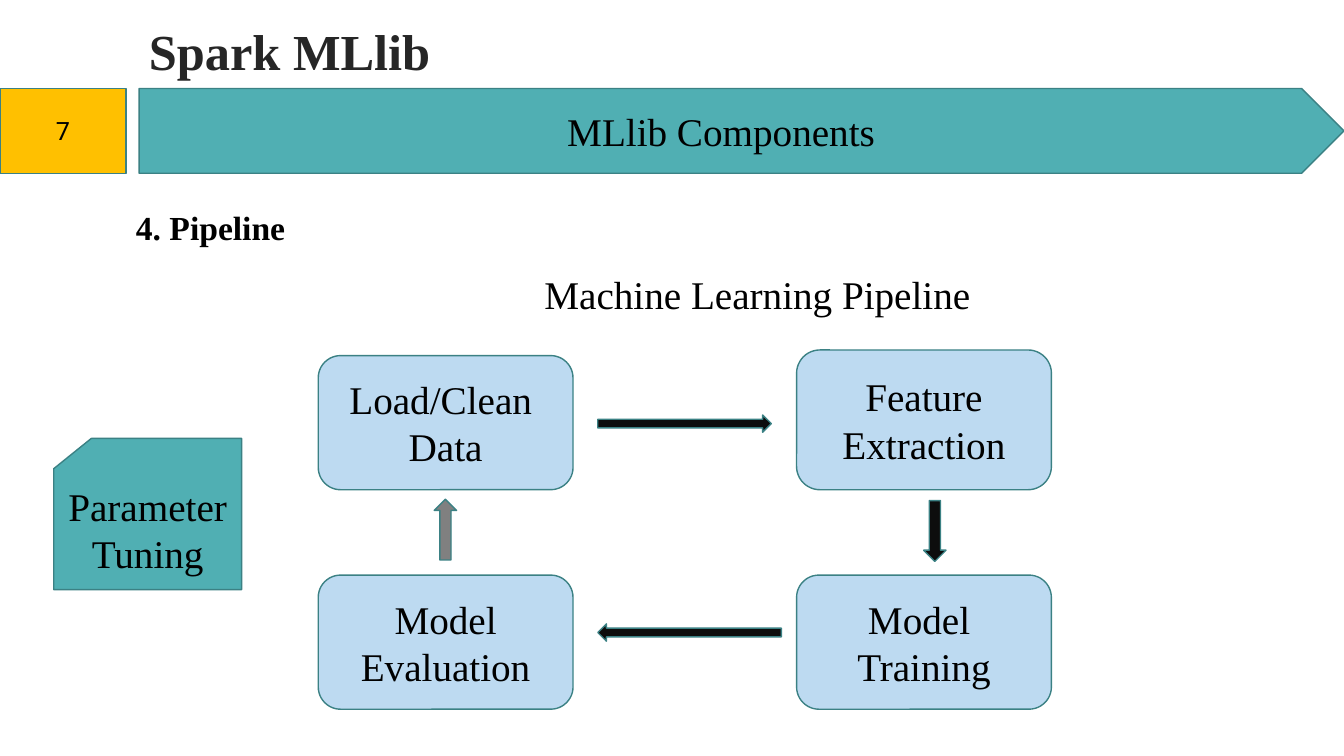
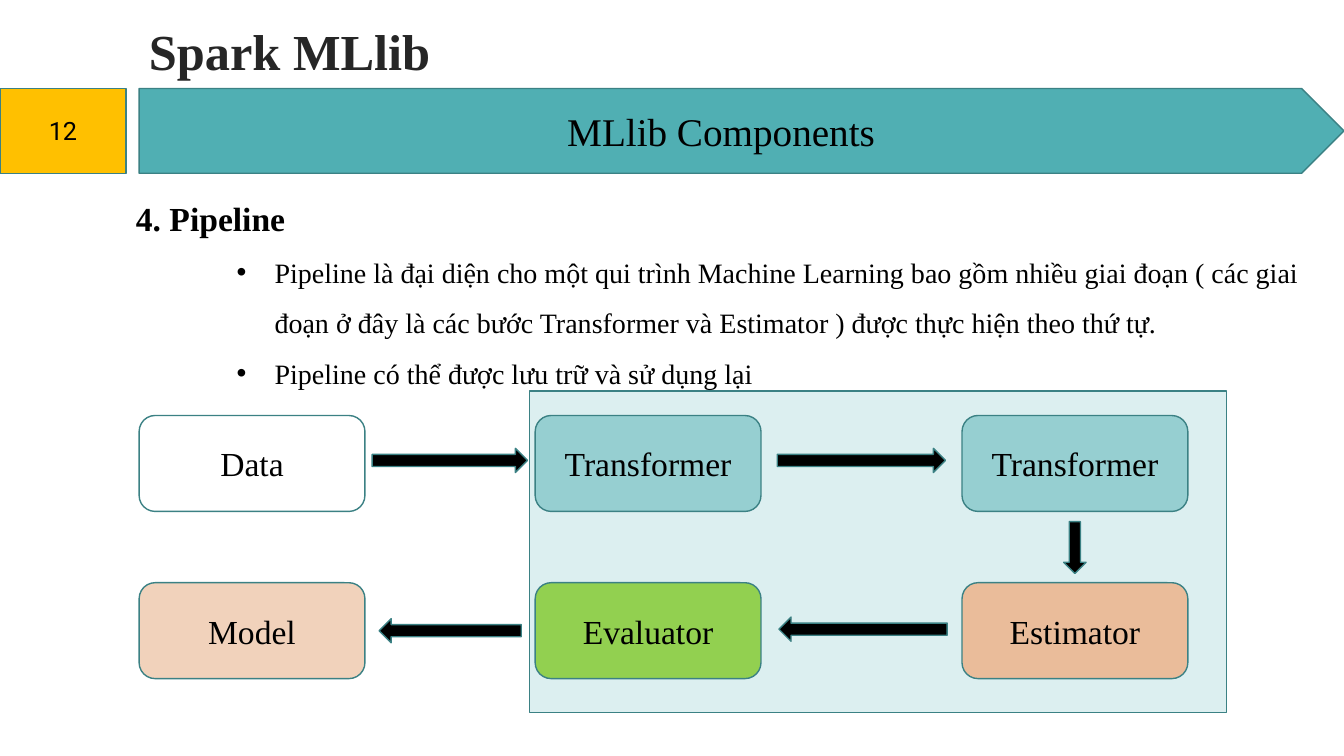
"""Two slides on the MLlib pipeline: the learning cycle and its stages."""
from lxml.etree import SubElement
from pptx import Presentation
from pptx.dml.color import RGBColor
from pptx.enum.shapes import MSO_SHAPE as Kind
from pptx.enum.text import MSO_ANCHOR as Anchor, PP_ALIGN as Align
from pptx.oxml.ns import qn
from pptx.util import Pt

COLORS = {
    "text": "000000", "title": "262626", "outline": "3B8184",
    "teal": "50AFB3", "amber": "FFC000", "step": "BDDAF1",
    "ink": "0D0D0D", "gray": "808080", "black": "000000",
    "panel": "DCEFF0", "transformer": "96CFD1", "white": "FFFFFF",
    "evaluator": "92D050", "estimator": "EABC9A", "model": "F1D2BB",
}
SERIF = "Times New Roman"


def write(paragraph, text, size, color="text", bold=False, font=SERIF):
    run = paragraph.add_run()
    run.text = text
    run.font.name = font
    run.font.size = Pt(size)
    run.font.bold = bold
    run.font.color.rgb = RGBColor.from_string(COLORS[color])


def draw(slide, kind, box, fill, lines=(), size=28, font=SERIF):
    shape = slide.shapes.add_shape(kind, *map(Pt, box))
    shape.shadow.inherit = False
    shape.fill.solid()
    shape.fill.fore_color.rgb = RGBColor.from_string(COLORS[fill])
    shape.line.color.rgb = RGBColor.from_string(COLORS["outline"])
    shape.line.width = Pt(1)
    frame = shape.text_frame
    frame.word_wrap = True
    frame.vertical_anchor = Anchor.MIDDLE
    for index, text in enumerate(lines):
        paragraph = frame.add_paragraph() if index else frame.paragraphs[0]
        paragraph.alignment = Align.CENTER
        write(paragraph, text, size, font=font)
    return shape


presentation = Presentation()
presentation.slide_width, presentation.slide_height = Pt(960), Pt(540)
slides, bodies = [], []

for number, body_top, body_height in [("7", 129.6, 96), ("12", 123.8, 155.5)]:
    slide = presentation.slides.add_slide(presentation.slide_layouts[6])
    if number == "12":
        draw(slide, Kind.RECTANGLE, (378, 279.4, 498.2, 229.7), "panel")

    title = slide.shapes.add_textbox(Pt(99.2), Pt(15.8), Pt(860), Pt(46))
    title.text_frame.word_wrap = True
    title.text_frame.paragraphs[0].line_spacing = 0.9
    write(title.text_frame.paragraphs[0], "Spark MLlib", 36, "title", True)

    banner = draw(slide, Kind.PENTAGON, (99.4, 63.2, 860.6, 60.6), "teal", ["MLlib Components"])
    banner.text_frame.margin_right = Pt(21.2)
    draw(slide, Kind.RECTANGLE, (0, 63.2, 90, 60.6), "amber", [number], 18, "Roboto")

    body = slide.shapes.add_textbox(Pt(90), Pt(body_top), Pt(866), Pt(body_height)).text_frame
    body.word_wrap = True
    body.paragraphs[0].line_spacing = 1.5
    write(body.paragraphs[0], "4. Pipeline", 24, bold=True)
    slides.append(slide)
    bodies.append(body)

cycle, stages = slides

heading = bodies[0].add_paragraph()
heading.alignment = Align.CENTER
heading.line_spacing = 1.5
heading._p.get_or_add_pPr().set("marL", str(Pt(36)))
write(heading, "Machine Learning Pipeline", 28)

for left, top, height, lines in [
    (227.3, 254, 95.8, ["Load/Clean ", "Data"]),
    (569, 250, 99.8, ["Feature", "Extraction"]),
    (569, 410.8, 95.8, ["Model ", "Training"]),
    (227.3, 410.8, 95.8, ["Model", "Evaluation"]),
]:
    draw(cycle, Kind.ROUNDED_RECTANGLE, (left, top, 182, height), "step", lines)
draw(cycle, Kind.FLOWCHART_CARD, (38.4, 313.2, 134.2, 108), "teal", ["Parameter", "Tuning"])

for text in [
    "Pipeline là đại diện cho một qui trình Machine Learning bao gồm nhiều giai đoạn "
    "( các giai đoạn ở đây là các bước Transformer và Estimator ) được thực hiện theo thứ tự.",
    "Pipeline có thể được lưu trữ và sử dụng lại",
]:
    item = bodies[1].add_paragraph()
    item.line_spacing = 1.5
    properties = item._p.get_or_add_pPr()
    properties.set("marL", str(Pt(99)))
    properties.set("indent", str(Pt(-27)))
    SubElement(properties, qn("a:buFont")).set("typeface", "Arial")
    SubElement(properties, qn("a:buChar")).set("char", "•")
    write(item, text, 20)

columns, rows = (99.4, 382.3, 687.2), (296.8, 416.2)
for column, row, fill, text in [
    (0, 0, "white", "Data"),
    (1, 0, "transformer", "Transformer"),
    (2, 0, "transformer", "Transformer"),
    (2, 1, "estimator", "Estimator"),
    (1, 1, "evaluator", "Evaluator"),
    (0, 1, "model", "Model"),
]:
    box = (columns[column], rows[row], 161.3, 68.5)
    draw(stages, Kind.ROUNDED_RECTANGLE, box, fill, [text], 24)

for slide, kind, box, fill in [
    (cycle, Kind.RIGHT_ARROW, (427, 296.4, 124, 12.4), "ink"),
    (cycle, Kind.DOWN_ARROW, (659.8, 357.6, 16, 43.4), "ink"),
    (cycle, Kind.LEFT_ARROW, (427, 445.6, 131.2, 12.4), "ink"),
    (cycle, Kind.UP_ARROW, (310.2, 356.6, 16, 43.4), "gray"),
    (stages, Kind.RIGHT_ARROW, (265.8, 320.3, 111, 17.3), "black"),
    (stages, Kind.RIGHT_ARROW, (555.2, 320.3, 120.2, 17.3), "black"),
    (stages, Kind.DOWN_ARROW, (759.8, 372.6, 16, 37), "black"),
    (stages, Kind.LEFT_ARROW, (556.4, 440.8, 120.2, 17.3), "black"),
    (stages, Kind.LEFT_ARROW, (270.8, 441.9, 101.6, 17.3), "black"),
]:
    draw(slide, kind, box, fill)

presentation.save("out.pptx")
